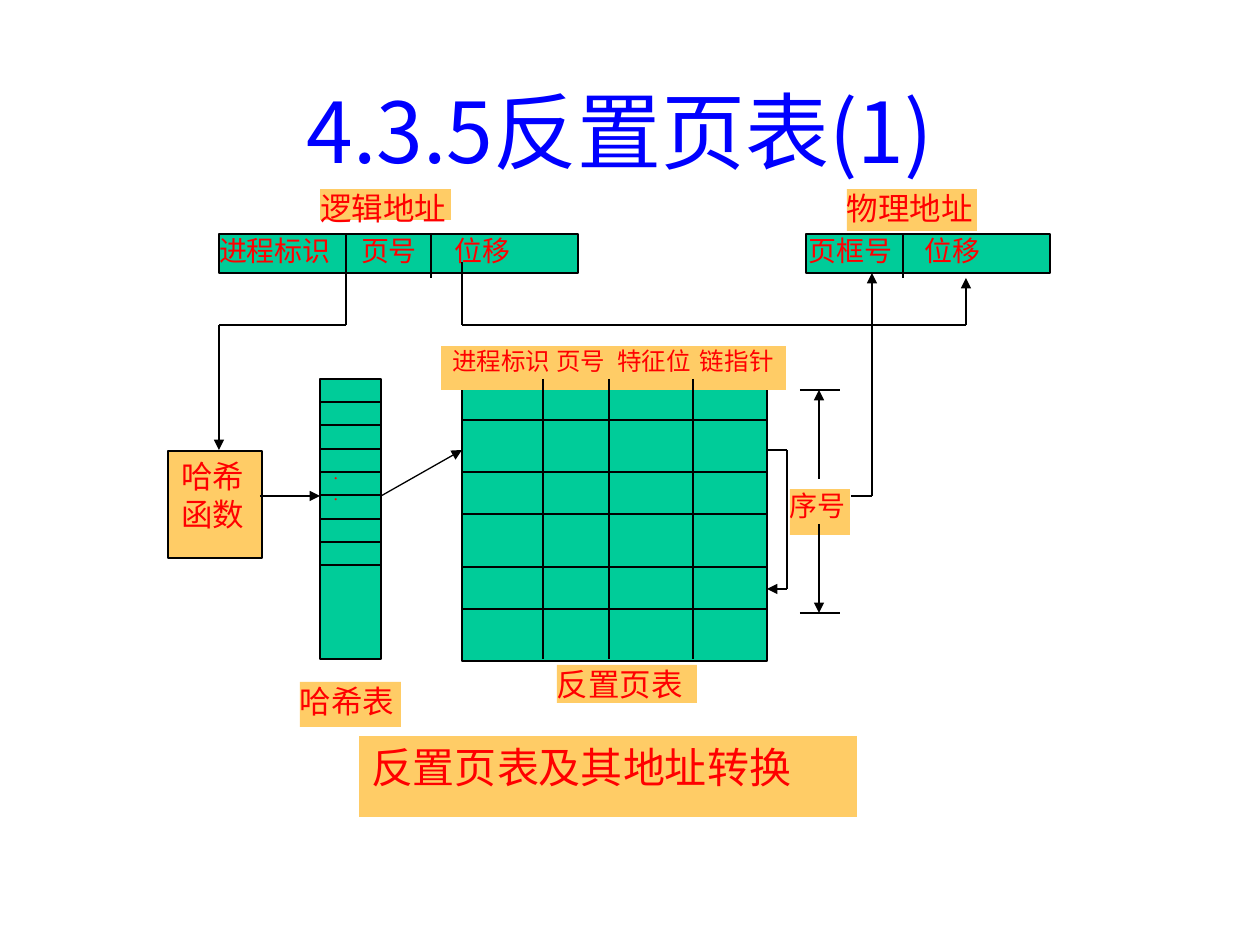
from pptx import Presentation, util as u
from pptx.dml.color import RGBColor
from pptx.enum import shapes, text
from pptx.oxml.ns import qn
from lxml import etree

PX = 914400 / 126
TITLE_ONLY = 5


def px(length):
    return u.Emu(round(length * PX))


def colour(hex_value):
    return RGBColor.from_string(hex_value)


class Diagram:
    FONT = "Noto Sans CJK JP"
    INK, RED, BLUE = "000000", "FF0000", "0000FF"
    GREEN, ORANGE, WHITE = "00CC99", "FFCC66", "FFFFFF"
    THIN, THICK = 0.75, 1.5

    def __init__(self, deck):
        self.slide = deck.slides.add_slide(deck.slide_layouts[TITLE_ONLY])

    def fill_text(self, frame, lines, size, hue=RED, align="LEFT", anchor="TOP",
                  insets=(0, 0, 0, 0), tabs=(), font=FONT):
        """Fill a text frame; insets run left, top, right, bottom in px."""
        left, top, right, bottom = map(px, insets)
        frame_format = {
            "word_wrap": True, "auto_size": text.MSO_AUTO_SIZE.NONE,
            "vertical_anchor": getattr(text.MSO_ANCHOR, anchor),
            "margin_left": left, "margin_top": top,
            "margin_right": right, "margin_bottom": bottom,
        }
        for key, value in frame_format.items():
            setattr(frame, key, value)
        for number, line in enumerate(lines):
            paragraph = frame.add_paragraph() if number else frame.paragraphs[0]
            paragraph.alignment = getattr(text.PP_ALIGN, align)
            paragraph.line_spacing = u.Pt(round(size * 1.2, 1))
            if tabs:
                stops = etree.SubElement(paragraph._p.get_or_add_pPr(), qn("a:tabLst"))
                for stop in tabs:
                    etree.SubElement(stops, qn("a:tab"), pos=str(int(px(stop))), algn="l")
            run = paragraph.add_run()
            run.text = line
            font_format = {"name": font, "size": u.Pt(size), "bold": False}
            for key, value in font_format.items():
                setattr(run.font, key, value)
            run.font.color.rgb = colour(hue)
            etree.SubElement(run._r.get_or_add_rPr(), qn("a:ea"), typeface=font)

    def title(self, wording, x, y, w, h, **style):
        heading = self.slide.shapes.title
        place = {"left": px(x), "top": px(y), "width": px(w), "height": px(h)}
        for key, value in place.items():
            setattr(heading, key, value)
        self.fill_text(heading.text_frame, [wording], **style)

    def box(self, x, y, w, h, fill, edge=None, weight=THIN, lines=(), **style):
        block = self.slide.shapes.add_shape(
            shapes.MSO_SHAPE.RECTANGLE, px(x), px(y), px(w), px(h))
        block.shadow.inherit = False
        block.fill.solid()
        block.fill.fore_color.rgb = colour(fill)
        if edge:
            block.line.color.rgb = colour(edge)
            block.line.width = u.Pt(weight)
        else:
            block.line.fill.background()
        if lines:
            self.fill_text(block.text_frame, lines, **style)

    def line(self, x1, y1, x2, y2, weight=THIN, arrow=False):
        link = self.slide.shapes.add_connector(
            shapes.MSO_CONNECTOR.STRAIGHT, px(x1), px(y1), px(x2), px(y2))
        link.line.color.rgb = colour(self.INK)
        link.line.width = u.Pt(weight)
        if arrow:
            outline = link._element.spPr.find(qn("a:ln"))
            etree.SubElement(outline, qn("a:tailEnd"), type="triangle")
        etree.SubElement(link._element.spPr, qn("a:effectLst"))

    def label(self, wording, x, y, w, h, size=18, **style):
        self.box(x, y, w, h, self.ORANGE, lines=[wording], size=size, **style)

    def address(self, fields, x, w, tabs, dividers, indent=0):
        """Draw an address word split into fields."""
        self.box(x, 234, w, 39, self.GREEN, self.INK, self.THICK,
                 lines=["\t".join(fields)], size=16, tabs=tabs,
                 insets=(indent, 0, 0, 0))
        for divider in dividers:
            self.line(divider, 234, divider, 278, self.THICK)


def main():
    deck = Presentation()
    deck.slide_width, deck.slide_height = u.Inches(10), u.Inches(7.5)
    diagram = Diagram(deck)
    padding = (13, 6, 13, 6)

    diagram.title("4.3.5反置页表(1)", 84, 94, 1071, 158, size=48, hue=diagram.BLUE,
                  align="CENTER", anchor="MIDDLE", insets=(13, 0, 13, 86))

    # Logical and physical addresses
    diagram.address(["进程标识", "页号", "位移"], 219, 359, (142, 236), (346, 431))
    diagram.address(["页框号", "位移"], 806, 244, (116,), (903,), indent=3)
    diagram.label("逻辑地址", 320, 189, 131, 31)
    diagram.label("物理地址", 847, 189, 130, 42)

    # Inverted page table
    table_left, table_right = 462, 767
    diagram.box(table_left, 384, table_right - table_left, 277,
                diagram.GREEN, diagram.INK, diagram.THICK)
    diagram.label("进程标识\t页号\t特征位\t链指针", 441, 346, 345, 44, size=14,
                  insets=(11, 0, 0, 0), tabs=(104, 165, 248))
    for column in (543, 609, 693):
        diagram.line(column, 379, column, 659)
    for row in (420, 472, 514, 567, 609):
        diagram.line(table_left, row, table_right, row)
    diagram.label("反置页表", 557, 665, 140, 38)

    # Hash function and hash table
    diagram.box(168, 451, 94, 107, diagram.ORANGE, diagram.INK,
                lines=["哈希", "函数"], size=18, insets=padding)
    diagram.box(320, 379, 61, 280, diagram.GREEN, diagram.INK, lines=["·", "·"],
                size=10, insets=(13, 88, 13, 6), font="Times New Roman")
    for slot in range(1, 9):
        slot_y = 379 + 70 * slot // 3
        diagram.line(320, slot_y, 381, slot_y)
    diagram.label("哈希表", 300, 682, 101, 45)

    # Index range of the page table
    diagram.label("序号", 790, 489, 60, 46, size=16)
    for limit, start in ((390, 479), (613, 524)):
        diagram.line(800, limit, 840, limit, diagram.THICK)
        diagram.line(819, start, 819, limit, arrow=True)

    # Flow of the address translation
    routes = [
        [(346, 278), (346, 325), (219, 325), (219, 450)],
        [(260, 496), (320, 496)],
        [(381, 496), (462, 450)],
        [(767, 450), (787, 450), (787, 589), (767, 589)],
        [(462, 262), (462, 325), (966, 325), (966, 278)],
        [(851, 496), (872, 496), (872, 273)],
    ]
    for route in routes:
        for start, end in zip(route, route[1:]):
            diagram.line(*start, *end, arrow=end == route[-1])

    diagram.box(358, 735, 500, 83, diagram.ORANGE, diagram.WHITE,
                lines=["反置页表及其地址转换"], size=24, insets=padding)
    deck.save("out.pptx")


if __name__ == "__main__":
    main()
